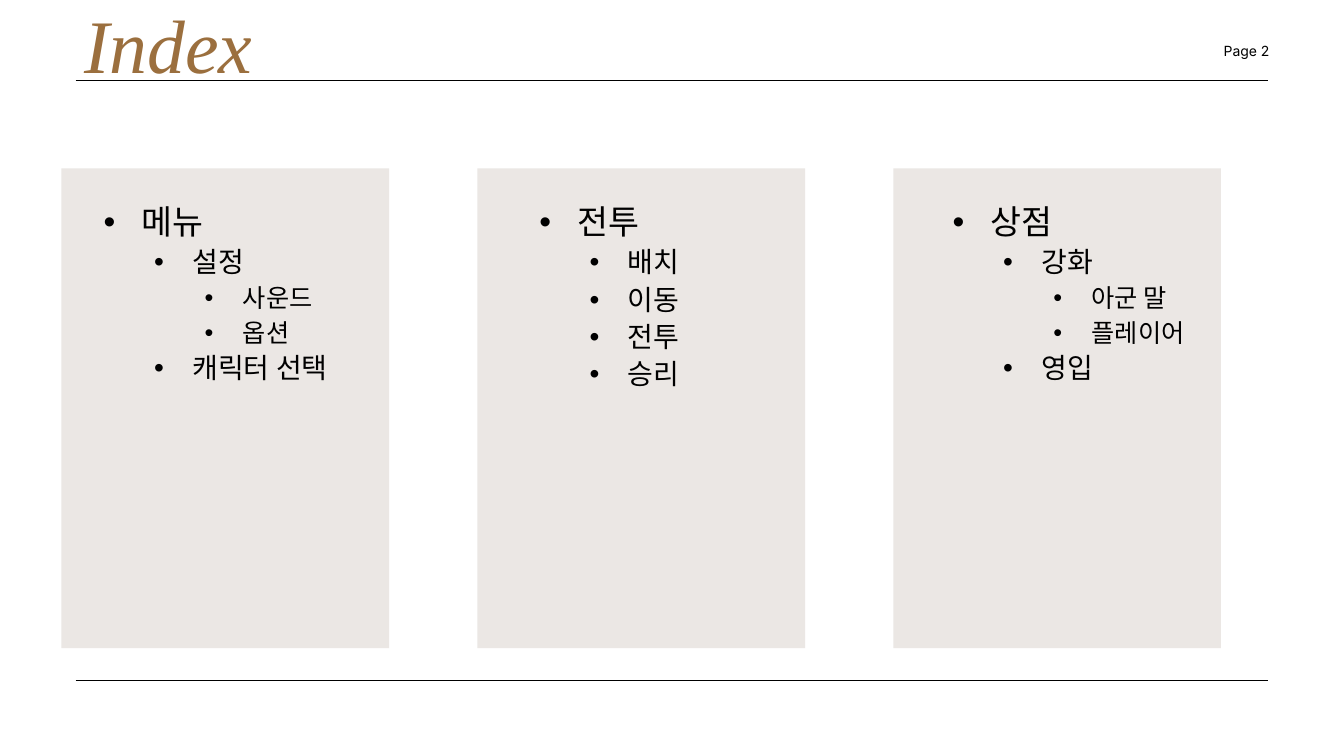
import pptx
import pptx.dml.color
import pptx.enum.shapes
import pptx.enum.text
import pptx.oxml
import pptx.oxml.ns
import pptx.util

Inches = pptx.util.Inches
Pt = pptx.util.Pt
ALIGN = pptx.enum.text.PP_ALIGN
ANCHOR = pptx.enum.text.MSO_ANCHOR

TITLE = "Index"
PAGE_LABEL = "Page 2"
SECTIONS = [
    {"left": 0.93, "items": [(0, "메뉴"), (1, "설정"), (2, "사운드"), (2, "옵션"), (1, "캐릭터 선택")]},
    {"left": 5.25, "items": [(0, "전투"), (1, "배치"), (1, "이동"), (1, "전투"), (1, "승리")]},
    {"left": 9.35, "items": [(0, "상점"), (1, "강화"), (2, "아군 말"), (2, "플레이어"), (1, "영입")]},
]

THEME = {
    "panel": "EBE7E4",
    "rule": "000000",
    "rule_width": 0.75,
    "title": {"name": "Times New Roman", "size": Pt(54), "italic": True, "color": "9B6F3E"},
    "page": {"name": "Inter", "size": Pt(10), "color": "000000"},
    "levels": [
        {"name": "Noto Sans CJK KR", "size": Pt(size), "color": "000000"}
        for size in (24, 20, 18)
    ],
}

PANEL_LEFT, PANEL_TOP, PANEL_WIDTH, PANEL_HEIGHT, PANEL_PITCH = 0.61, 1.67, 3.25, 4.76, 4.125
RULE_LEFT, RULE_RIGHT, RULE_TOPS = 0.75, 12.58, (0.8, 6.75)
LIST_TOP, LIST_WIDTH, LIST_HEIGHT = 1.99, 3.99, 4.44
HANGING, LEVEL_STEP = 0.38, 0.5


def rgb(value):
    return pptx.dml.color.RGBColor.from_string(value)


def add_child(parent, tag, **attributes):
    child = pptx.oxml.parse_xml(f"<{tag} {pptx.oxml.ns.nsdecls('a')}/>")
    for name, value in attributes.items():
        child.set(name, str(value))
    parent.append(child)


def add_box(page, left, top, width, height, **frame_format):
    box = page.shapes.add_textbox(Inches(left), Inches(top), Inches(width), Inches(height))
    frame = box.text_frame
    for name, value in {"word_wrap": True, **frame_format}.items():
        setattr(frame, name, value)
    return frame


def write(para, text, font_format, **para_format):
    for name, value in para_format.items():
        setattr(para, name, value)
    span = para.add_run()
    span.text = text
    for name, value in font_format.items():
        if name == "color":
            span.font.color.rgb = rgb(value)
        else:
            setattr(span.font, name, value)
    add_child(span._r.get_or_add_rPr(), "a:ea", typeface=font_format["name"])


def add_panel(page, left):
    panel = page.shapes.add_shape(
        pptx.enum.shapes.MSO_SHAPE.RECTANGLE,
        Inches(left), Inches(PANEL_TOP), Inches(PANEL_WIDTH), Inches(PANEL_HEIGHT),
    )
    panel.shadow.inherit = False
    panel.fill.solid()
    panel.fill.fore_color.rgb = rgb(THEME["panel"])
    panel.line.fill.background()


def add_list(page, left, items):
    frame = add_box(page, left, LIST_TOP, LIST_WIDTH, LIST_HEIGHT)
    for index, (level, text) in enumerate(items):
        para = frame.paragraphs[0] if index == 0 else frame.add_paragraph()
        write(para, text, THEME["levels"][level], level=level, line_spacing=0.9,
              space_before=Pt(5 if level else 10))
        properties = para._p.get_or_add_pPr()
        properties.set("marL", str(Inches(HANGING + LEVEL_STEP * level)))
        properties.set("indent", str(-Inches(HANGING)))
        add_child(properties, "a:buFont", typeface="Arial")
        add_child(properties, "a:buChar", char="•")


def add_rule(page, top):
    rule = page.shapes.add_connector(
        pptx.enum.shapes.MSO_CONNECTOR.STRAIGHT,
        Inches(RULE_LEFT), Inches(top), Inches(RULE_RIGHT), Inches(top),
    )
    rule.line.color.rgb = rgb(THEME["rule"])
    rule.line.width = Pt(THEME["rule_width"])
    add_child(rule._element.spPr, "a:effectLst")


def main():
    deck = pptx.Presentation()
    deck.slide_width, deck.slide_height = Inches(13.33), Inches(7.5)
    page = deck.slides.add_slide(deck.slide_layouts[6])

    for column in range(len(SECTIONS)):
        add_panel(page, PANEL_LEFT + column * PANEL_PITCH)

    title = add_box(page, 0.49, 0.14, 2.36, 0.79, vertical_anchor=ANCHOR.BOTTOM)
    write(title.paragraphs[0], TITLE, THEME["title"], alignment=ALIGN.CENTER, line_spacing=Pt(74.5))

    for section in SECTIONS:
        add_list(page, section["left"], section["items"])

    for top in RULE_TOPS:
        add_rule(page, top)

    label = add_box(page, 10.04, 0.39, 2.55, 0.18,
                    margin_left=0, margin_top=0, margin_right=0, margin_bottom=0)
    write(label.paragraphs[0], PAGE_LABEL, THEME["page"], alignment=ALIGN.RIGHT, line_spacing=Pt(14))

    deck.save("out.pptx")


if __name__ == "__main__":
    main()
